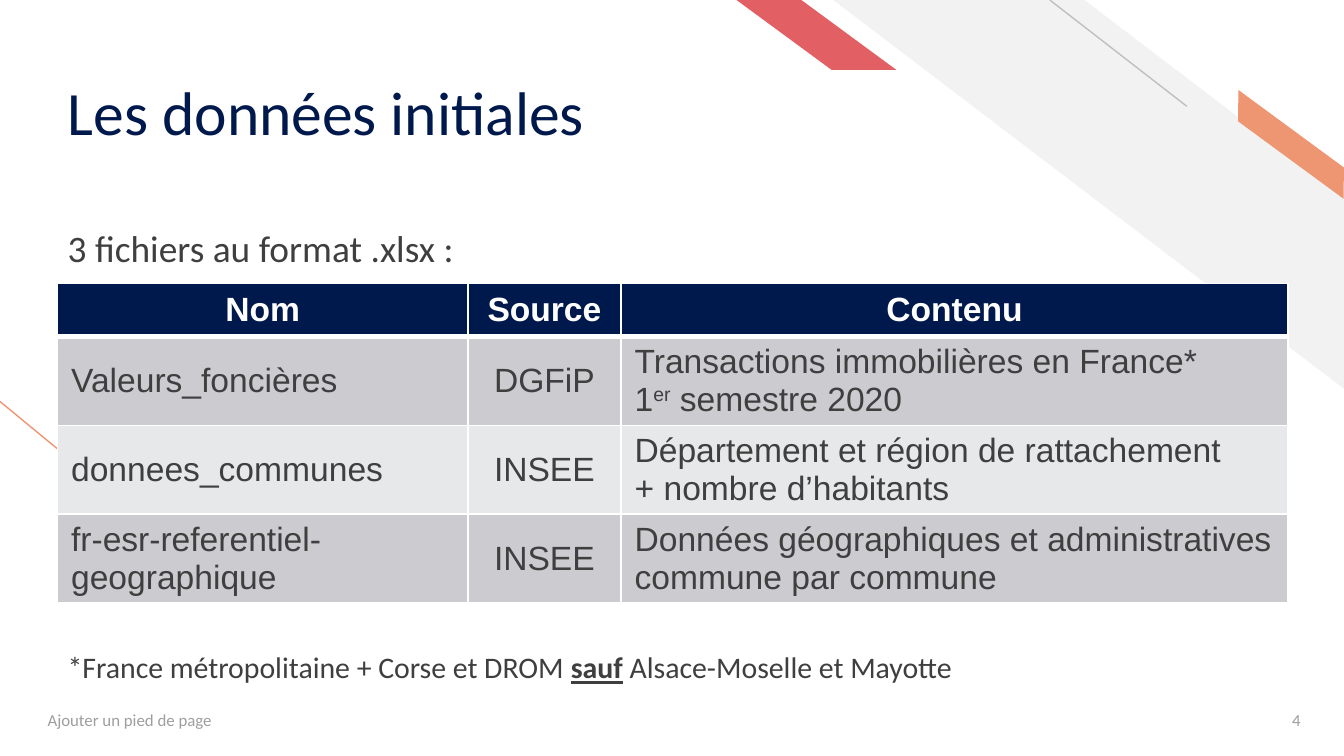
from lxml.etree import SubElement
from pptx import Presentation
from pptx.dml.color import RGBColor
from pptx.enum.shapes import MSO_CONNECTOR, MSO_SHAPE
from pptx.enum.text import MSO_ANCHOR, MSO_AUTO_SIZE, PP_ALIGN
from pptx.oxml.ns import qn
from pptx.util import Cm, Pt

COLORS = {
    "navy": "00194C", "text": "3F3F3F", "muted": "9E9E9E", "white": "FFFFFF",
    "orange": "EE9571", "red": "E26064", "pale": "F2F2F2", "line": "BFBFBF",
    "band": "CCCCD0", "light": "E7E8E9",
}
TITLE = "Les données initiales"
INTRO = "3 fichiers au format .xlsx :"
NOTE = [
    ("*France métropolitaine + Corse et DROM ", {}),
    ("sauf", {"bold": True, "underline": True}),
    (" Alsace-Moselle et Mayotte", {}),
]
HEADER = ["Nom", "Source", "Contenu"]
FILES = [
    ("Valeurs_foncières", "DGFiP",
     ["Transactions immobilières en France*",
      [("1", {}), ("er", {"raised": True}), (" semestre 2020", {})]]),
    ("donnees_communes", "INSEE",
     ["Département et région de rattachement", "+ nombre d’habitants"]),
    ("fr-esr-referentiel-geographique", "INSEE",
     ["Données géographiques et administratives", "commune par commune"]),
]
COL_WIDTHS = [7.75, 2.9, 12.6]
HEADER_HEIGHT, ROW_HEIGHT = 1.0, 1.68
STRIPES = [
    (MSO_SHAPE.DIAGONAL_STRIPE, (15.75, 0, 9.68, 7.37), 0.51, 0, "pale"),
    (MSO_SHAPE.PARALLELOGRAM, (22.99, 2.49, 2.82, 0.48), 0.72, 36.3, "orange"),
    (MSO_SHAPE.PARALLELOGRAM, (13.92, 0, 3.02, 1.32), 1.36, 0, "red"),
]
LINES = [
    ((3.96, 10.85), (0, 7.59), "orange"),
    ((22.43, 2.01), (19.84, 0), "line"),
]
FOOTER = [
    ("Ajouter un pied de page", 0.71, 8.59, PP_ALIGN.LEFT),
    ("4", 23.22, 1.55, PP_ALIGN.RIGHT),
]


def rgb(name):
    return RGBColor.from_string(COLORS[name])


def write(p, text, size=18, font="Calibri", color="text", bold=False,
          align=PP_ALIGN.LEFT, spacing=None, before=0):
    p.alignment = align
    p.line_spacing = spacing
    p.space_before = Pt(before)
    for words, extra in [(text, {})] if isinstance(text, str) else text:
        r = p.add_run()
        r.text = words
        r.font.size = Pt(size)
        r.font.name = font
        r.font.color.rgb = rgb(color)
        r.font.bold = extra.get("bold", bold)
        r.font.underline = extra.get("underline", False)
        if extra.get("raised"):
            r.font._element.set("baseline", "30000")


def set_frame(tf, anchor, bottom=0.1):
    tf.word_wrap = True
    tf.auto_size = MSO_AUTO_SIZE.NONE
    tf.vertical_anchor = anchor
    tf.margin_left = tf.margin_right = Cm(0.19)
    tf.margin_top, tf.margin_bottom = Cm(0.1), Cm(bottom)


def add_text_frame(s, box, anchor):
    tf = s.shapes.add_textbox(*map(Cm, box)).text_frame
    set_frame(tf, anchor)
    return tf


def add_stripe(s, kind, box, adjust, rotation, color):
    sp = s.shapes.add_shape(kind, *map(Cm, box))
    sp.adjustments[0] = adjust
    sp.rotation = rotation
    sp.shadow.inherit = False
    sp.fill.solid()
    sp.fill.fore_color.rgb = rgb(color)
    sp.line.fill.background()
    sp._element.spPr.find(qn("a:xfrm")).set("flipH", "1")


def add_line(s, start, end, color):
    line = s.shapes.add_connector(MSO_CONNECTOR.STRAIGHT, *map(Cm, start + end))
    line.line.color.rgb = rgb(color)
    line.line.width = Pt(0.75)
    SubElement(line._element.spPr, qn("a:effectLst"))


def format_cell(cell, fill, bottom=1, top=1):
    cell.vertical_anchor = MSO_ANCHOR.MIDDLE
    tc_pr = cell._tc.get_or_add_tcPr()
    for side, width in (("L", 1), ("R", 1), ("T", top), ("B", bottom)):
        ln = SubElement(tc_pr, qn(f"a:ln{side}"), w=str(Pt(width)))
        solid = SubElement(ln, qn("a:solidFill"))
        SubElement(solid, qn("a:srgbClr"), val=COLORS["white"])
    cell.fill.solid()
    cell.fill.fore_color.rgb = rgb(fill)


def add_files_table(s):
    heights = [HEADER_HEIGHT] + [ROW_HEIGHT] * len(FILES)
    box = (1.09, 5.36, sum(COL_WIDTHS), sum(heights))
    table = s.shapes.add_table(len(heights), len(HEADER), *map(Cm, box)).table
    for col, width in zip(table.columns, COL_WIDTHS):
        col.width = Cm(width)
    for row, height in zip(table.rows, heights):
        row.height = Cm(height)
    for j, name in enumerate(HEADER):
        cell = table.cell(0, j)
        format_cell(cell, "navy", bottom=3)
        write(cell.text_frame.paragraphs[0], name, font="Arial", color="white",
              bold=True, align=PP_ALIGN.CENTER)
    for i, record in enumerate(FILES, 1):
        for j, value in enumerate(record):
            cell = table.cell(i, j)
            format_cell(cell, "band" if i % 2 else "light", top=3 if i == 1 else 1)
            tf = cell.text_frame
            for k, text in enumerate([value] if isinstance(value, str) else value):
                p = tf.add_paragraph() if k else tf.paragraphs[0]
                write(p, text, font="Arial",
                      align=PP_ALIGN.CENTER if j == 1 else PP_ALIGN.LEFT)


def main():
    prs = Presentation()
    prs.slide_width, prs.slide_height = Cm(25.4), Cm(14.29)
    s = prs.slides.add_slide(prs.slide_layouts[5])

    for stripe in STRIPES:
        add_stripe(s, *stripe)
    for line in LINES:
        add_line(s, *line)

    title = s.shapes.title
    title.left, title.top, title.width, title.height = map(Cm, (1.09, 0.43, 13.03, 2.39))
    set_frame(title.text_frame, MSO_ANCHOR.BOTTOM, bottom=0)
    write(title.text_frame.paragraphs[0], TITLE, size=33, color="navy", spacing=0.9)

    tf = add_text_frame(s, (1.09, 4.32, 19.38, 8.94), MSO_ANCHOR.TOP)
    write(tf.paragraphs[0], INTRO, size=20, spacing=0.8)
    write(tf.add_paragraph(), NOTE, size=16, spacing=0.8, before=207)

    for text, left, width, align in FOOTER:
        tf = add_text_frame(s, (left, 13.23, width, 0.76), MSO_ANCHOR.MIDDLE)
        write(tf.paragraphs[0], text, size=9, color="muted", align=align)

    add_files_table(s)
    prs.save("out.pptx")


if __name__ == "__main__":
    main()
